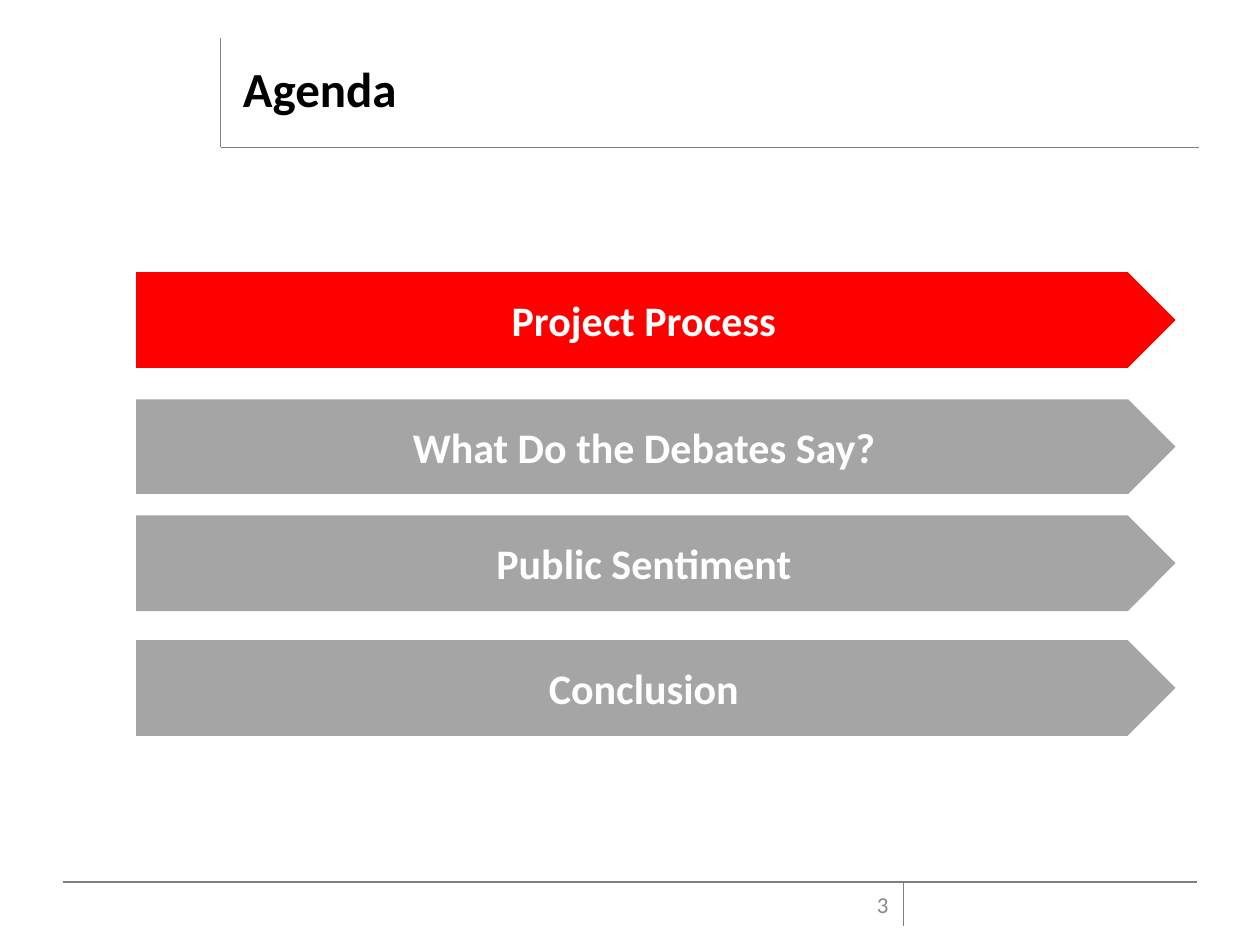
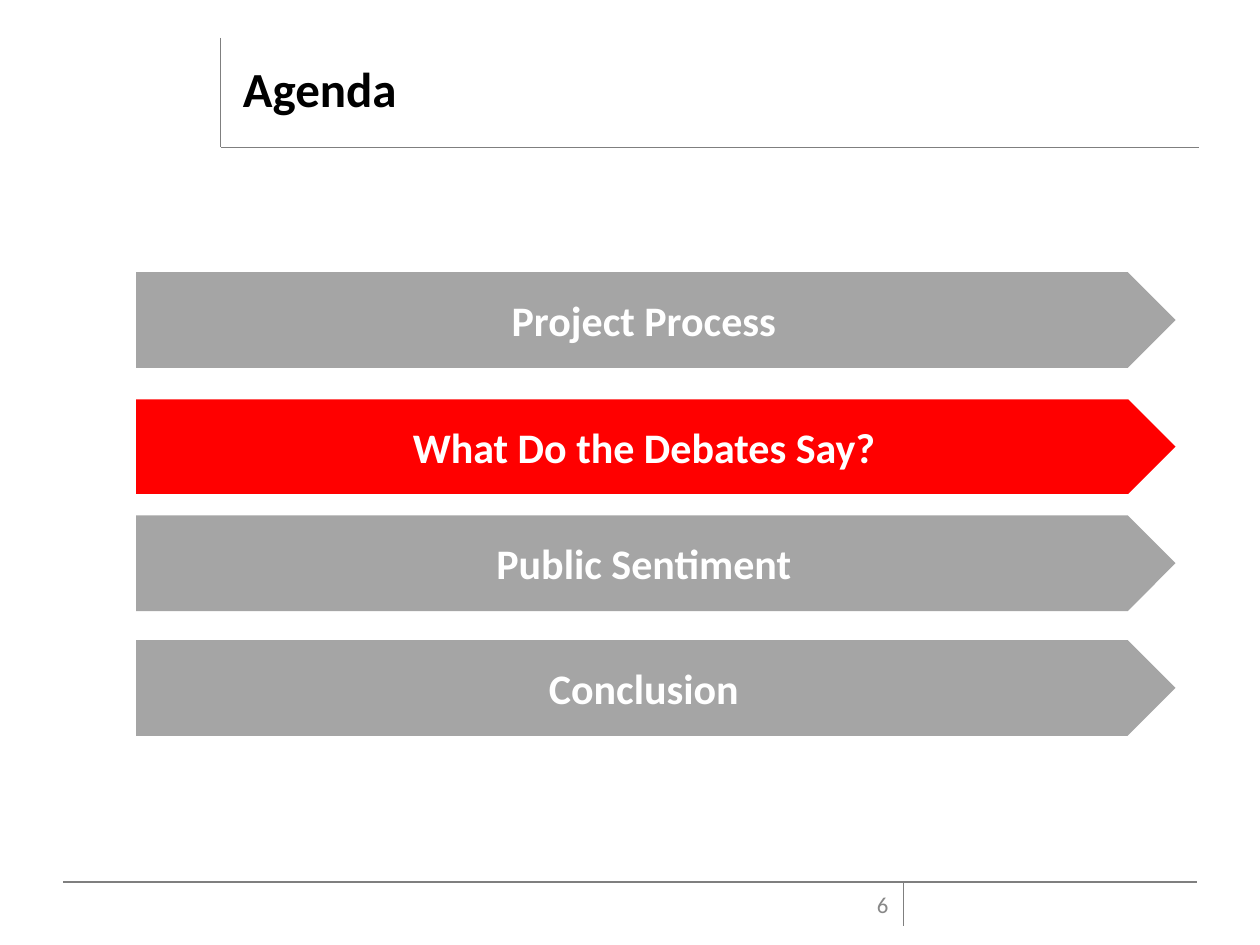
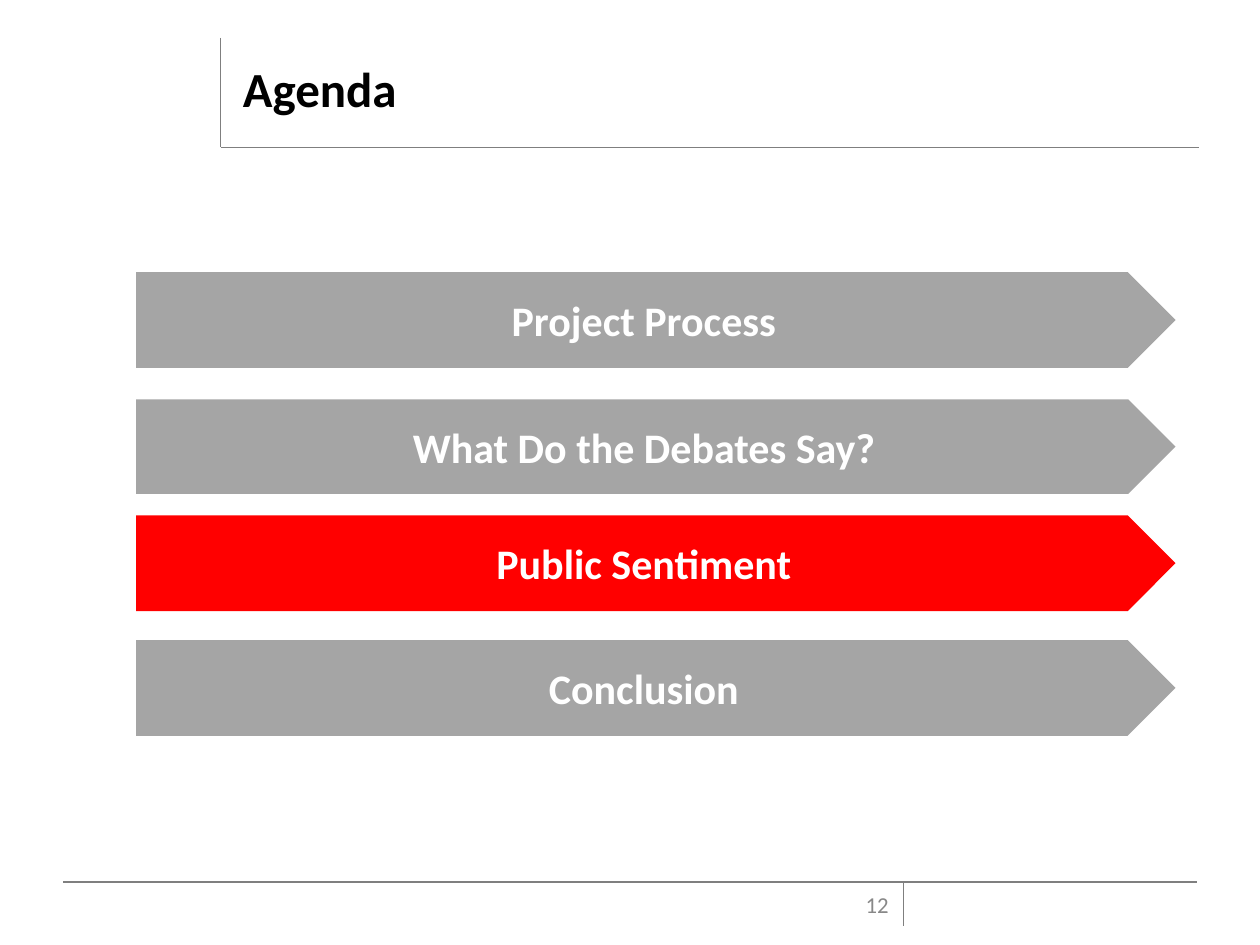
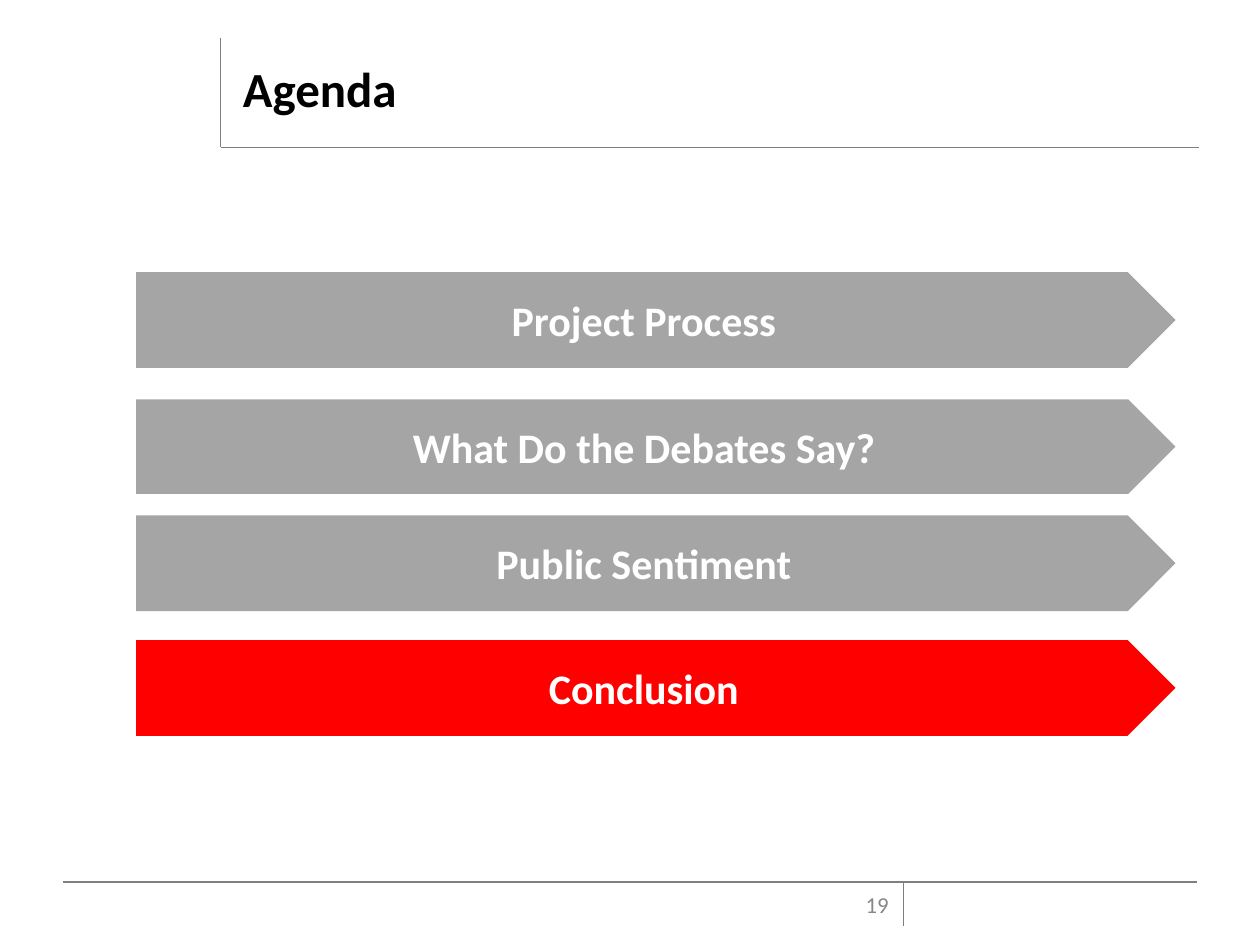
"""Build four agenda slides, each with its current topic in red."""
from typing import NamedTuple

from lxml.etree import SubElement
from pptx import Presentation
from pptx.dml.color import RGBColor
from pptx.enum.shapes import MSO_CONNECTOR as Link, MSO_SHAPE as Form
from pptx.enum.text import MSO_ANCHOR as Anchor, PP_ALIGN as Align
from pptx.oxml.ns import qn
from pptx.shapes.autoshape import Shape
from pptx.slide import Slide
from pptx.util import Inches, Pt

FONT = "Calibri"
BLACK = RGBColor(0x00, 0x00, 0x00)
WHITE = RGBColor(0xFF, 0xFF, 0xFF)
RED = RGBColor(0xFF, 0x00, 0x00)
SILVER = RGBColor(0xA5, 0xA5, 0xA5)
GRAY = RGBColor(0x88, 0x88, 0x88)
RULE = RGBColor(0x7F, 0x7F, 0x7F)


class Box(NamedTuple):
    left: float
    top: float
    width: float
    height: float


class Line(NamedTuple):
    x1: float
    y1: float
    x2: float
    y2: float


class Topic(NamedTuple):
    text: str
    top: float
    height: float
    page: int


LINES = (
    Line(1.75, 0.3, 1.75, 1.17),
    Line(1.75, 1.17, 9.52, 1.17),
    Line(0.5, 7, 9.5, 7),
    Line(7.17, 7, 7.17, 7.35),
)
TITLE = Box(1.83, 0.3, 7.51, 0.79)
NUMBER = Box(6.58, 6.98, 0.57, 0.4)
LEFT, WIDTH = 1.08, 8.25
TOPICS = (
    Topic("Project Process", 2.16, 0.76, 3),
    Topic("What Do the Debates Say?", 3.17, 0.75, 6),
    Topic("Public Sentiment", 4.09, 0.76, 12),
    Topic("Conclusion", 5.08, 0.76, 19),
)


def write(shape: Shape, text: str, *, size: float, color: RGBColor,
          bold: bool = False, align: Align = Align.LEFT, inset: float = 0.05) -> None:
    frame = shape.text_frame
    frame.word_wrap = True
    frame.vertical_anchor = Anchor.MIDDLE
    frame.margin_left = frame.margin_right = Inches(0.1)
    frame.margin_top = frame.margin_bottom = Inches(inset)
    para = frame.paragraphs[0]
    para.alignment = align
    run = para.add_run()
    run.text = text
    font = run.font
    font.name, font.size, font.bold = FONT, Pt(size), bold
    font.color.rgb = color


def add_box(slide: Slide, box: Box) -> Shape:
    return slide.shapes.add_textbox(*map(Inches, box))


def add_line(slide: Slide, line: Line) -> None:
    link = slide.shapes.add_connector(Link.STRAIGHT, *map(Inches, line))
    link.line.color.rgb = RULE
    link.line.width = Pt(0.75)
    SubElement(link.element.spPr, qn("a:effectLst"))


def add_topic(slide: Slide, topic: Topic, fill: RGBColor) -> None:
    box = Box(LEFT, topic.top, WIDTH, topic.height)
    arrow = slide.shapes.add_shape(Form.PENTAGON, *map(Inches, box))
    arrow.shadow.inherit = False
    arrow.fill.solid()
    arrow.fill.fore_color.rgb = fill
    arrow.line.fill.background()
    write(arrow, topic.text, size=24, color=WHITE, bold=True, align=Align.CENTER)


def add_frame(slide: Slide, title: str, page: int) -> None:
    for line in LINES:
        add_line(slide, line)
    write(add_box(slide, NUMBER), str(page), size=13, color=GRAY, align=Align.RIGHT)
    write(add_box(slide, TITLE), title, size=28, color=BLACK, bold=True, inset=0.1)


def main() -> None:
    deck = Presentation()
    deck.slide_width, deck.slide_height = Inches(10), Inches(7.5)
    for current in TOPICS:
        slide = deck.slides.add_slide(deck.slide_layouts[6])
        add_frame(slide, "Agenda", current.page)
        for topic in TOPICS:
            add_topic(slide, topic, RED if topic is current else SILVER)
    deck.save("out.pptx")


if __name__ == "__main__":
    main()
